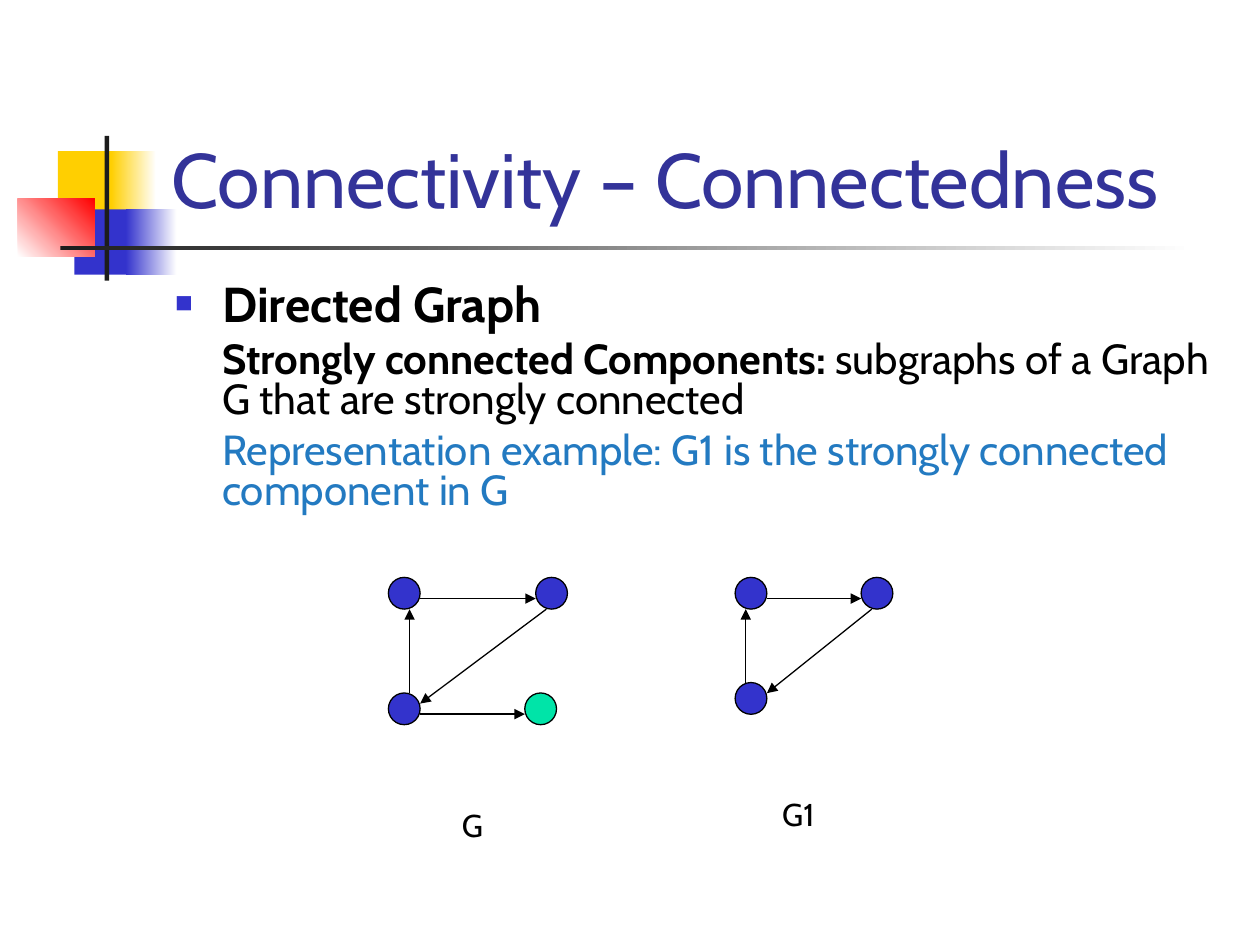
from lxml import etree
from pptx import Presentation
from pptx.dml.color import RGBColor
from pptx.enum.shapes import MSO_CONNECTOR, MSO_SHAPE
from pptx.enum.text import MSO_ANCHOR, MSO_AUTO_SIZE, PP_ALIGN
from pptx.oxml.ns import qn
from pptx.util import Cm, Pt

FONT = "Cabin"
COLORS = {
    "yellow": "FFCF01", "blue": "3333CC", "red": "FF0000", "dark": "1C1C1C",
    "white": "FFFFFF", "black": "000000", "green": "00E4A8",
    "title": "333399", "example": "237AC1",
}

TITLE = "Connectivity – Connectedness"
# Each paragraph: size, space before, bulleted, runs of (text, bold, color)
BODY = [
    (28, 0, True, [("Directed Graph", True, "black")]),
    (24, 6, False, [
        ("Strongly connected Components: ", True, "black"),
        ("subgraphs of a Graph G that are strongly connected", False, "black"),
    ]),
    (24, 6, False, [
        ("Representation example: G1 is the strongly connected component in G",
         False, "example"),
    ]),
]

# Left, top, width, height in cm, then the gradient colors and angle
ORNAMENTS = [
    (1.17, 3.05, 1.22, 1.32, ["yellow"], 0),
    (2.24, 3.05, 0.91, 1.32, ["yellow", "white"], 0),
    (1.5, 4.22, 1.17, 1.32, ["blue"], 0),
    (2.54, 4.22, 1.02, 1.32, ["blue", "white"], 0),
    (0.36, 4.01, 1.55, 1.17, ["white", "red"], 45),
    (2.11, 2.74, 0.09, 2.92, ["dark"], 0),
    (1.22, 4.95, 22.86, 0.09, ["dark", "white"], 0),
]

NODE_SIZE = 0.64
LOW, HIGH = 1 / 3, 2 / 3
# Edge ends are (node, (x, y)), with x and y as fractions of the node
GRAPHS = [
    {
        "nodes": {"a": (7.83, 11.64, "blue"), "b": (10.8, 11.64, "blue"),
                  "c": (7.83, 13.97, "blue"), "d": (10.58, 13.97, "green")},
        "edges": [
            (("a", (1, HIGH)), ("b", (0, HIGH))),
            (("c", (HIGH, 0)), ("a", (HIGH, 1))),
            (("b", (LOW, 1)), ("c", (1, LOW))),
            (("c", (1, HIGH)), ("d", (0, HIGH))),
        ],
        "label": ("G", 9.1, 16.3),
    },
    {
        "nodes": {"a": (14.82, 11.64, "blue"), "b": (17.36, 11.64, "blue"),
                  "c": (14.82, 13.76, "blue")},
        "edges": [
            (("c", (LOW, 0)), ("a", (LOW, 1))),
            (("a", (1, HIGH)), ("b", (0, HIGH))),
            (("b", (LOW, 1)), ("c", (1, LOW))),
        ],
        "label": ("G1", 15.67, 16.09),
    },
]


def rgb(name):
    return RGBColor.from_string(COLORS[name])


def style(font, size, color):
    font.name, font.size = FONT, Pt(size)
    font.color.rgb = rgb(color)


def place(shape, left, top, width, height):
    shape.left, shape.top = Cm(left), Cm(top)
    shape.width, shape.height = Cm(width), Cm(height)


def add_filled(slide, kind, box, fill, line=None):
    shape = slide.shapes.add_shape(kind, *map(Cm, box))
    shape.shadow.inherit = False
    shape.fill.solid()
    shape.fill.fore_color.rgb = rgb(fill)
    if line:
        shape.line.color.rgb = rgb(line)
        shape.line.width = Pt(0.75)
    else:
        shape.line.fill.background()
    return shape


def add_ornament(slide, left, top, width, height, colors, angle):
    box = (left, top, width, height)
    ornament = add_filled(slide, MSO_SHAPE.RECTANGLE, box, colors[0])
    if len(colors) > 1:
        ornament.fill.gradient()
        ornament.fill.gradient_angle = angle
        for position, (stop, color) in enumerate(
                zip(ornament.fill.gradient_stops, colors)):
            stop.color.rgb = rgb(color)
            stop.position = position


def add_title(slide):
    title = slide.shapes.title
    place(title, 3.2, 0.58, 21.64, 4.06)
    frame = title.text_frame
    frame.text = TITLE
    frame.auto_size = MSO_AUTO_SIZE.NONE
    frame.vertical_anchor = MSO_ANCHOR.BOTTOM
    frame.paragraphs[0].alignment = PP_ALIGN.LEFT
    style(frame.paragraphs[0].font, 44, "title")


def set_indent(paragraph, bulleted):
    """Indent the text, hanging a small square bullet in front if asked."""
    properties = paragraph._p.get_or_add_pPr()
    indent = Cm(0.95)
    properties.set("marL", str(indent))
    properties.set("indent", str(-indent if bulleted else 0))
    if bulleted:
        color = etree.SubElement(properties, qn("a:buClr"))
        etree.SubElement(color, qn("a:srgbClr"), val=COLORS["blue"])
        etree.SubElement(properties, qn("a:buSzPct"), val="60000")
        etree.SubElement(properties, qn("a:buFont"), typeface="Arial")
        etree.SubElement(properties, qn("a:buChar"), char="■")


def add_body(slide):
    box = slide.shapes.add_textbox(Cm(3.28), Cm(5.61), Cm(21.69), Cm(4.98))
    frame = box.text_frame
    frame.word_wrap = True
    for index, (size, before, bulleted, runs) in enumerate(BODY):
        paragraph = frame.add_paragraph() if index else frame.paragraphs[0]
        set_indent(paragraph, bulleted)
        paragraph.line_spacing = 0.8
        paragraph.space_before = Pt(before)
        for text, bold, color in runs:
            run = paragraph.add_run()
            run.text = text
            run.font.bold = bold
            style(run.font, size, color)


def add_arrow(slide, start, end):
    arrow = slide.shapes.add_connector(
        MSO_CONNECTOR.STRAIGHT, *map(Cm, start + end))
    arrow.line.color.rgb = rgb("black")
    arrow.line.width = Pt(0.75)
    etree.SubElement(arrow.line._get_or_add_ln(), qn("a:tailEnd"), type="triangle")
    etree.SubElement(arrow._element.spPr, qn("a:effectLst"))


def add_graph(slide, nodes, edges, label):
    for left, top, color in nodes.values():
        box = (left, top, NODE_SIZE, NODE_SIZE)
        add_filled(slide, MSO_SHAPE.OVAL, box, color, "black")

    def point(node, fractions):
        return tuple(corner + NODE_SIZE * part
                     for corner, part in zip(nodes[node], fractions))

    for start, end in edges:
        add_arrow(slide, point(*start), point(*end))

    text, left, top = label
    caption = add_filled(slide, MSO_SHAPE.RECTANGLE, (left, top, 0.85, 0.64),
                         "white", "white")
    frame = caption.text_frame
    frame.text = text
    frame.word_wrap = False
    frame.vertical_anchor = MSO_ANCHOR.MIDDLE
    frame.paragraphs[0].alignment = PP_ALIGN.CENTER
    style(frame.paragraphs[0].font, 18, "black")


def main():
    deck = Presentation()
    deck.slide_width, deck.slide_height = Cm(25.4), Cm(19.05)
    slide = deck.slides.add_slide(deck.slide_layouts[5])
    for ornament in ORNAMENTS:
        add_ornament(slide, *ornament)
    add_title(slide)
    add_body(slide)
    for graph in GRAPHS:
        add_graph(slide, **graph)
    deck.save("out.pptx")


if __name__ == "__main__":
    main()
